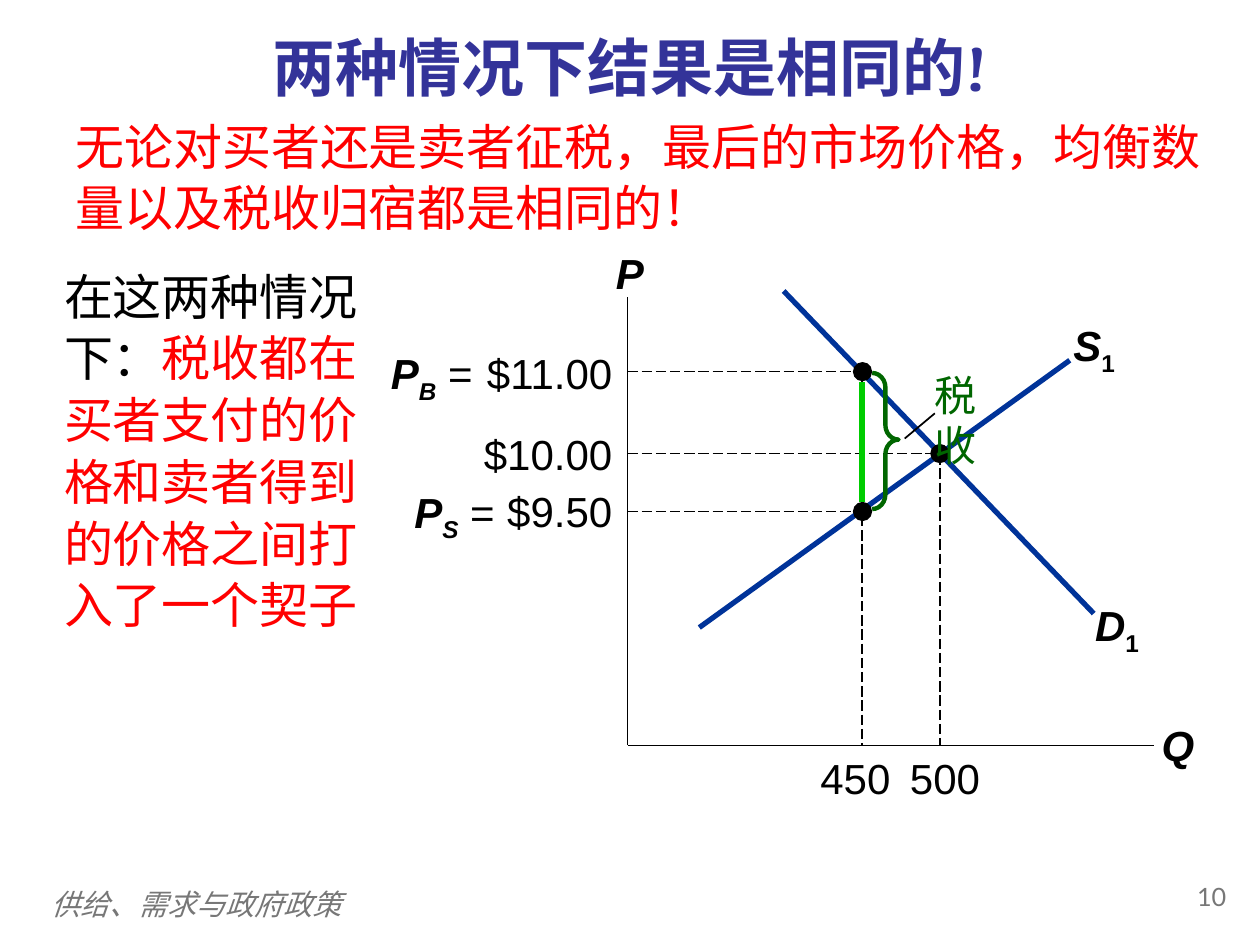
"""Build a slide on who bears a tax, with a supply and demand graph."""
import lxml.etree
import pptx
import pptx.dml.color
import pptx.enum.dml
import pptx.enum.lang
import pptx.enum.shapes
import pptx.enum.text
import pptx.oxml.ns
import pptx.util

Pt = pptx.util.Pt
ALIGN = pptx.enum.text.PP_ALIGN
ANCHOR = pptx.enum.text.MSO_ANCHOR
SHAPE = pptx.enum.shapes.MSO_SHAPE
DASH = pptx.enum.dml.MSO_LINE.LONG_DASH
COLORS = {
    "black": "000000", "gray": "777777", "title": "333399", "red": "FF0000",
    "curve": "003399", "tax": "006600", "wedge": "00CC00",
}
LEFT, BASE = 358.6, 426
SUB = {"base": -25000}
BOLD = {"bold": True, "italic": True}
PAD = (7.2, 3.6, 7.2, 3.6)


def rgb(name):
    return pptx.dml.color.RGBColor.from_string(COLORS[name])


def write(shape, runs, size=24, color="black", font="Arial", align=ALIGN.LEFT,
          anchor=ANCHOR.TOP, pad=PAD, space=None):
    """Fill a shape with one paragraph of (text, format) runs."""
    frame = shape.text_frame
    frame.word_wrap = True
    frame.auto_size = pptx.enum.text.MSO_AUTO_SIZE.NONE
    frame.vertical_anchor = anchor
    sides = ("margin_left", "margin_top", "margin_right", "margin_bottom")
    for side, gap in zip(sides, pad):
        setattr(frame, side, Pt(gap))
    para = frame.paragraphs[0]
    para.alignment = align
    para.line_spacing = space
    for words, form in runs:
        run = para.add_run()
        run.text = words
        run.font.name = font
        run.font.size = Pt(size)
        run.font.language_id = pptx.enum.lang.MSO_LANGUAGE_ID.SIMPLIFIED_CHINESE
        run.font.bold = form.get("bold", False)
        run.font.italic = form.get("italic", False)
        run.font.color.rgb = rgb(form.get("color", color))
        if "base" in form:
            run._r.get_or_add_rPr().set("baseline", str(form["base"]))


def label(slide, box, runs, **form):
    """Add a text box."""
    write(slide.shapes.add_textbox(*map(Pt, box)), runs, **form)


def line(slide, start, end, color="black", width=1, dash=None):
    """Add a straight line without a shadow."""
    kind = pptx.enum.shapes.MSO_CONNECTOR.STRAIGHT
    link = slide.shapes.add_connector(kind, *map(Pt, start + end))
    link.line.color.rgb = rgb(color)
    link.line.width = Pt(width)
    if dash:
        link.line.dash_style = dash
    lxml.etree.SubElement(link._element.spPr, pptx.oxml.ns.qn("a:effectLst"))


def dot(slide, x, y, size=11):
    """Add a black point centred on x, y."""
    box = (x - size / 2, y - size / 2, size, size)
    mark = slide.shapes.add_shape(SHAPE.OVAL, *map(Pt, box))
    mark.shadow.inherit = False
    mark.fill.solid()
    mark.fill.fore_color.rgb = rgb("black")
    mark.line.fill.background()


def brace(slide, box):
    """Add the brace that spans the tax."""
    mark = slide.shapes.add_shape(SHAPE.RIGHT_BRACE, *map(Pt, box))
    mark.shadow.inherit = False
    mark.adjustments[0] = 0.55
    mark.adjustments[1] = 0.49
    mark.fill.background()
    mark.line.color.rgb = rgb("tax")
    mark.line.width = Pt(2.5)


def graph(slide):
    """Draw axes, curves, prices, quantities and the tax."""
    curves = (
        ("S", (399.6, 358.6), (611.3, 205.9), (601.2, 179.3)),
        ("D", (447.8, 166.3), (625, 350.6), (614.2, 339.1)),
    )
    for name, start, end, spot in curves:
        line(slide, start, end, "curve", 3)
        label(slide, spot + (48.2, 40.3), [(name, BOLD), ("1", {"bold": True, **SUB})],
              align=ALIGN.CENTER)

    line(slide, (LEFT, 170), (LEFT, BASE))
    line(slide, (LEFT, BASE), (659.5, BASE))
    for name, box in (("P", (343.4, 138.2, 33.1, 36)), ("Q", (655.2, 407.5, 36, 36))):
        label(slide, box, [(name, BOLD)], align=ALIGN.CENTER)

    for x, top, left, count in ((492.6, 213.8, 465.8, "450"), (537.1, 259.6, 517, "500")):
        line(slide, (x, top), (x, BASE), width=0.75, dash=DASH)
        label(slide, (left, 429.8, 46, 28.8), [(count, {})],
              align=ALIGN.CENTER, pad=(0, 0, 0, 0))

    points = (
        (537.1, 259.2, 244.8, "$10.00"),
        (492.9, 292.3, 277.2, "$9.50"),
        (492.9, 212.4, 198.7, "$11.00"),
    )
    for x, y, top, price in points:
        line(slide, (LEFT, y), (x, y), width=0.75, dash=DASH)
        dot(slide, x, y)
        label(slide, (265, top, 92, 28.8), [(price, {})],
              align=ALIGN.RIGHT, pad=(0, 0, 7.2, 0))

    for name, left, top in (("B", 213.8, 195.1), ("S", 226.4, 274.3)):
        label(slide, (left, top, 63.4, 40.3),
              [("P", BOLD), (name, {**BOLD, **SUB}), (" =", {})], align=ALIGN.RIGHT)

    brace(slide, (498.4, 213.1, 15.1, 77.8))
    label(slide, (509.8, 207.4, 55.4, 64.8), [("税收", {})],
          color="tax", align=ALIGN.RIGHT)
    line(slide, (517, 250.6), (534.2, 236.2))
    line(slide, (492.6, 286.6), (492.6, 218.2), "wedge", 3)


def main():
    deck = pptx.Presentation()
    deck.slide_width, deck.slide_height = Pt(720), Pt(540)
    slide = deck.slides.add_slide(deck.slide_layouts[5])

    title = slide.shapes.title
    title.left, title.top, title.width, title.height = map(Pt, (0, 12.2, 720, 51.1))
    write(title, [("两种情况下结果是相同的!", {"bold": True})], size=36, color="title",
          font="Cambria", align=ALIGN.CENTER, anchor=ANCHOR.MIDDLE)

    label(slide, (36, 61.2, 661, 80.6),
          [("无论对买者还是卖者征税，最后的市场价格，均衡数量以及税收归宿都是相同的！", {})],
          size=28, color="red", space=1.05)
    label(slide, (29.5, 146.9, 187.9, 321.8),
          [("在这两种情况下：", {}),
           ("税收都在买者支付的价格和卖者得到的价格之间打入了一个契子", {"color": "red"})],
          size=28, space=1.05)
    graph(slide)

    label(slide, (22.3, 503.3, 577.4, 28.8), [("供给、需求与政府政策", {"italic": True})],
          size=16.6, color="gray", anchor=ANCHOR.MIDDLE, space=0.9)
    label(slide, (653.8, 501.8, 54, 28.8), [("10", {})],
          size=14.4, color="gray", font="Lato", align=ALIGN.RIGHT, space=0.9)
    deck.save("out.pptx")


if __name__ == "__main__":
    main()
